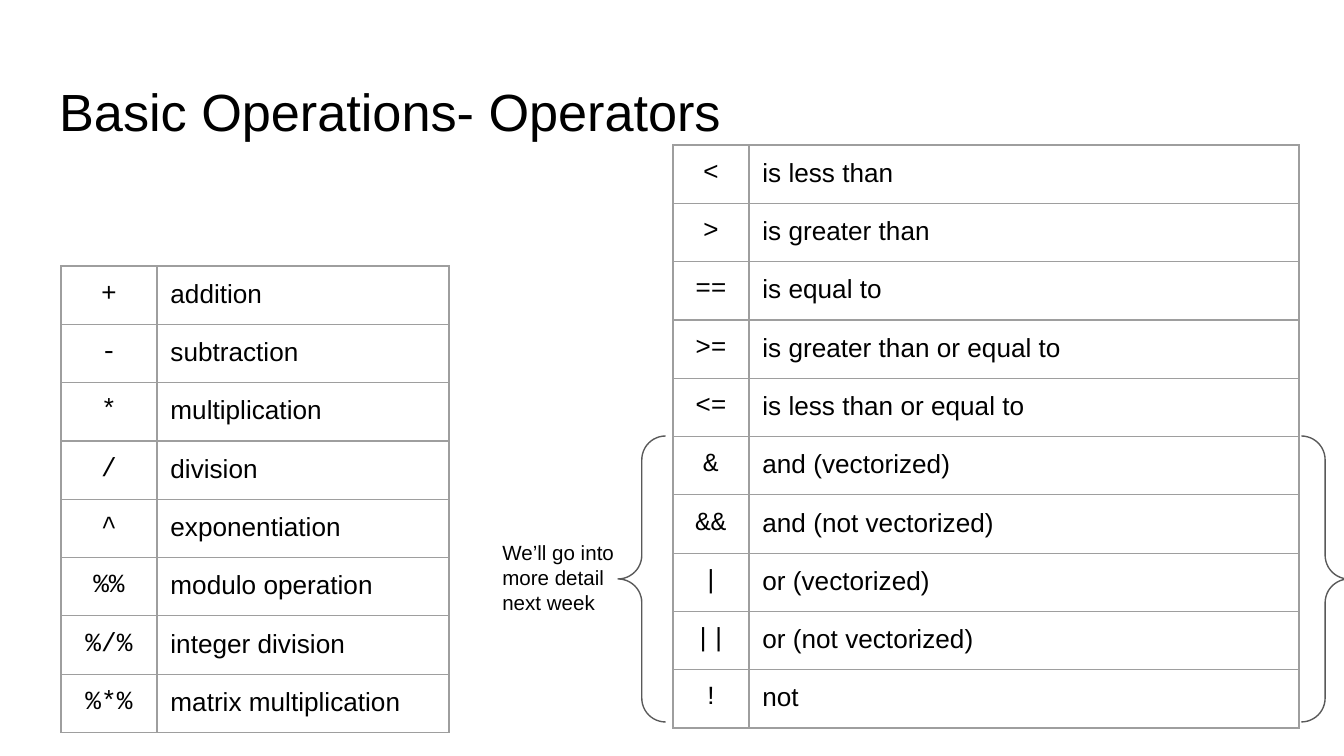
import pptx
import pptx.util
import pptx.dml.color
import pptx.enum.shapes
import pptx.enum.text
import pptx.oxml
import pptx.oxml.ns

COLORS = {"text": "000000", "grid": "9E9E9E", "brace": "595959"}
SANS, MONO = "Arial", "Courier New"
SCALE = 914400 / 134.4
INSET = pptx.util.Inches(0.1)


def px(n):
    return pptx.util.Emu(round(n * SCALE))


def rgb(name):
    return pptx.dml.color.RGBColor.from_string(COLORS[name])


class Deck:
    def __init__(self, width, height):
        self.prs = pptx.Presentation()
        self.prs.slide_width, self.prs.slide_height = px(width), px(height)
        self.s = self.prs.slides.add_slide(self.prs.slide_layouts[6])

    def add_run(self, tf, text, size, font=SANS, align="LEFT"):
        p = tf.paragraphs[0]
        p.alignment = getattr(pptx.enum.text.PP_ALIGN, align)
        r = p.add_run()
        r.text = text
        r.font.size = pptx.util.Pt(size)
        r.font.name = font
        r.font.color.rgb = rgb("text")

    def text(self, box, text, size):
        tf = self.s.shapes.add_textbox(*map(px, box)).text_frame
        tf.word_wrap = True
        tf.margin_left = tf.margin_right = tf.margin_top = tf.margin_bottom = INSET
        self.add_run(tf, text, size)

    def border(self, cell):
        pr = cell._tc.get_or_add_tcPr()
        for i, side in enumerate(("lnL", "lnR", "lnT", "lnB")):
            pr.insert(i, pptx.oxml.parse_xml(
                f'<a:{side} {pptx.oxml.ns.nsdecls("a")} w="9525"><a:solidFill>'
                f'<a:srgbClr val="{COLORS["grid"]}"/></a:solidFill></a:{side}>'))

    def table(self, left, top, widths, row_height, rows):
        box = left, top, sum(widths), row_height * len(rows)
        table = self.s.shapes.add_table(len(rows), len(widths), *map(px, box)).table
        table.first_row = table.horz_banding = False
        for column, width in zip(table.columns, widths):
            column.width = px(width)
        styles = (MONO, "CENTER"), (SANS, "LEFT")
        for i, row in enumerate(rows):
            table.rows[i].height = px(row_height)
            for j, (text, style) in enumerate(zip(row, styles)):
                cell = table.cell(i, j)
                cell.margin_left = cell.margin_right = INSET
                cell.margin_top = cell.margin_bottom = INSET
                cell.fill.background()
                self.border(cell)
                self.add_run(cell.text_frame, text, 14, *style)

    def braces(self, box):
        kind = pptx.enum.shapes.MSO_SHAPE.DOUBLE_BRACE
        sp = self.s.shapes.add_shape(kind, *map(px, box))
        sp.shadow.inherit = False
        sp.fill.background()
        sp.line.color.rgb = rgb("brace")
        sp.line.width = pptx.util.Pt(0.75)


ARITHMETIC = [
    ("+", "addition"),
    ("-", "subtraction"),
    ("*", "multiplication"),
    ("/", "division"),
    ("^", "exponentiation"),
    ("%%", "modulo operation"),
    ("%/%", "integer division"),
    ("%*%", "matrix multiplication"),
]
LOGIC = [
    ("<", "is less than"),
    (">", "is greater than"),
    ("==", "is equal to"),
    (">=", "is greater than or equal to"),
    ("<=", "is less than or equal to"),
    ("&", "and (vectorized)"),
    ("&&", "and (not vectorized)"),
    ("|", "or (vectorized)"),
    ("||", "or (not vectorized)"),
    ("!", "not"),
]

deck = Deck(1344, 756)
deck.text((46, 66, 1252, 84), "Basic Operations- Operators", 28)
deck.table(61, 266, (96, 292), 56, ARITHMETIC)
deck.table(673, 145, (76, 550), 57, LOGIC)
deck.braces((618, 436, 731, 286))
deck.text((489, 527, 155, 105), "We’ll go into more detail next week", 11)
deck.prs.save("out.pptx")
